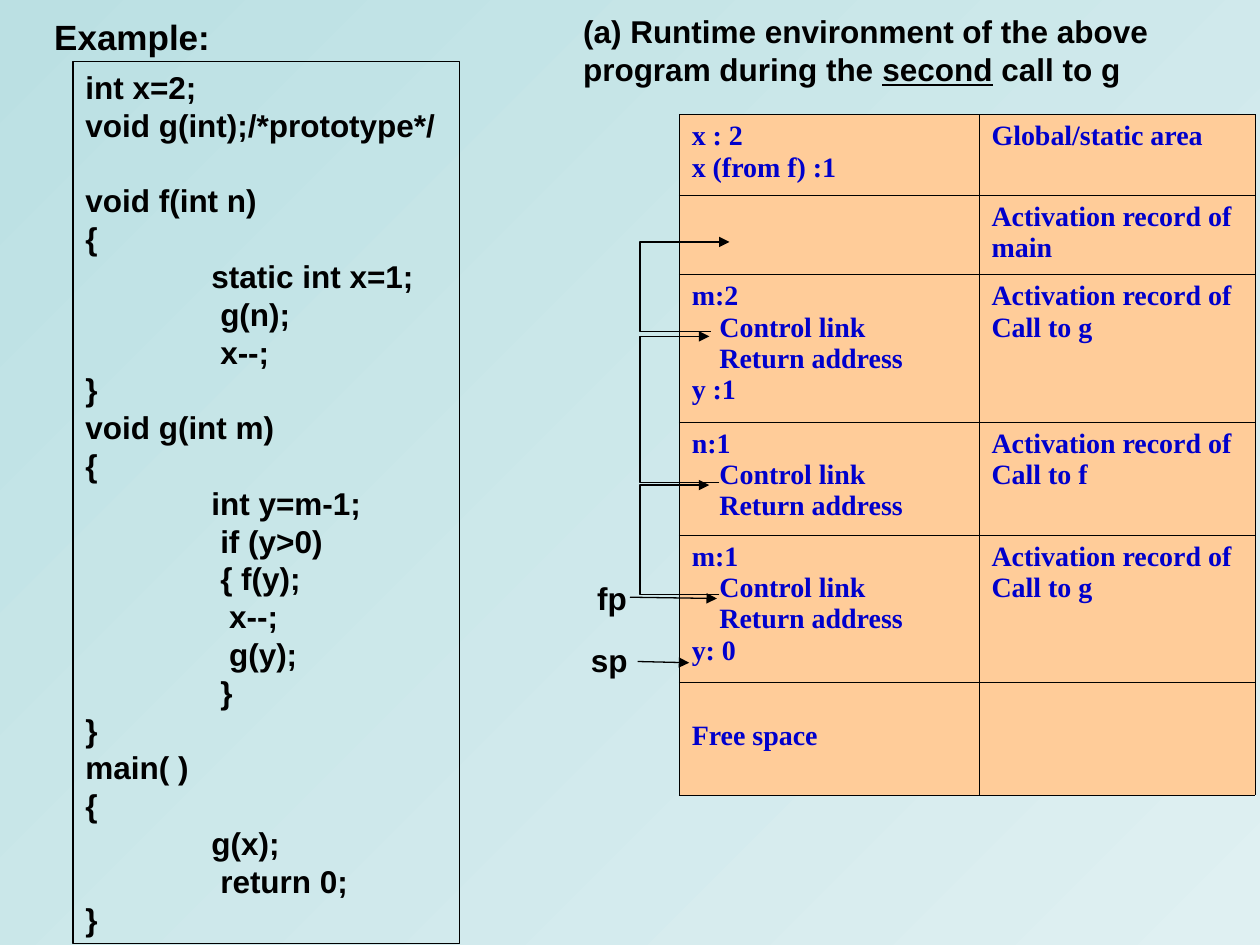
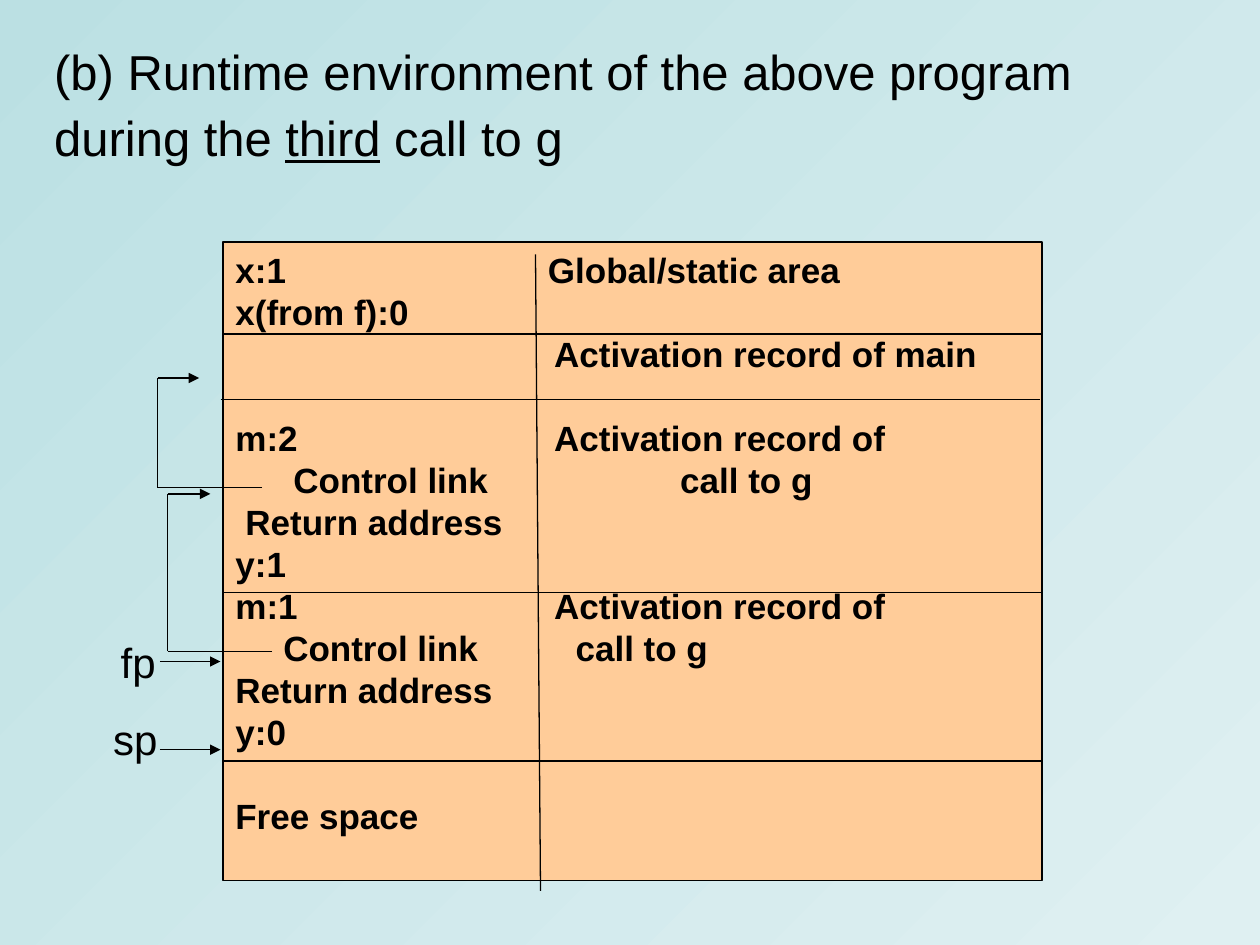
from typing import Any, NamedTuple

from lxml import etree
from pptx import Presentation
from pptx.dml.color import RGBColor
from pptx.enum.shapes import MSO_CONNECTOR, MSO_SHAPE
from pptx.enum.text import MSO_ANCHOR, MSO_AUTO_SIZE, PP_ALIGN
from pptx.oxml.ns import qn
from pptx.util import Inches, Pt

TOP, MIDDLE = MSO_ANCHOR.TOP, MSO_ANCHOR.MIDDLE
LEFT = PP_ALIGN.LEFT
FIXED = MSO_AUTO_SIZE.NONE
RECT = MSO_SHAPE.RECTANGLE
STRAIGHT = MSO_CONNECTOR.STRAIGHT
BLACK, BLUE, PEACH = "000000", "0000CC", "FFCC99"
SHADES = ("BBE0E3", "DFF0F2")
TITLE_ONLY = 5


class Look(NamedTuple):
    """Font and line pitch of a text."""
    size: float
    bold: bool = True
    color: str = BLACK
    name: str = "Arial"
    pitch: float = 0


class Line(NamedTuple):
    """One line of text, with its indent and the gap before it."""
    text: str
    dent: float = 0
    gap: float = 0


class Note(NamedTuple):
    """A text with its place and look."""
    at: tuple[float, float, float, float]
    look: Look
    lines: tuple[Line, ...]


class Row(NamedTuple):
    """One table row: height, left lines, right lines and top margin."""
    high: float
    left: tuple[Line, ...]
    right: tuple[Line, ...]
    top: float = 0.05


class Link(NamedTuple):
    """A bent arrow from a record back to its caller."""
    start: float
    low: float
    side: float
    high: float
    end: float

    def points(self) -> list[tuple[float, float]]:
        """List the corners from start to end."""
        return [(self.start, self.low), (self.side, self.low),
                (self.side, self.high), (self.end, self.high)]


CODE = Look(18, pitch=21.6)
CELL = Look(16, color=BLUE, name="Times New Roman")
STACK = Look(20, pitch=24)
HEAD = Look(18)
BIG = Look(28, bold=False, pitch=37.7)
MARK = Look(24, bold=False)

PROGRAM = (
    Line("int x=2;"), Line("void g(int);/*prototype*/"),
    Line("void f(int n)", gap=21.6), Line("{"),
    Line("static int x=1;", 1), Line("g(n);", 1.07), Line("x--;", 1.07),
    Line("}"), Line("void g(int m)"), Line("{"),
    Line("int y=m-1;", 1), Line("if (y>0)", 1.07), Line("{ f(y);", 1.07),
    Line("x--;", 1.14), Line("g(y);", 1.14), Line("}", 1.07),
    Line("}"), Line("main( )"), Line("{"),
    Line("g(x);", 1), Line("return 0;", 1.07), Line("}"),
)
SAVED = (Line("Control link", 0.22), Line("Return address", 0.22))
RECORD = Line("Activation record of")
CALL_G = (RECORD, Line("Call to g"))
ROWS = (
    Row(0.64, (Line("x : 2"), Line("x (from f) :1")),
        (Line("Global/static area"),)),
    Row(0.63, (), (RECORD, Line("main"))),
    Row(1.17, (Line("m:2"), *SAVED, Line("y :1")), CALL_G),
    Row(0.9, (Line("n:1"), *SAVED), (RECORD, Line("Call to f"))),
    Row(1.17, (Line("m:1"), *SAVED, Line("y: 0")), CALL_G),
    Row(0.89, (Line("Free space"),), (), 0.3),
)
MEMORY = (
    Line("x:1"), Line("x(from f):0"),
    Line("m:2", gap=48), Line("Control link", 0.46),
    Line("Return address", 0.08), Line("y:1"),
    Line("m:1"), Line("Control link", 0.38),
    Line("Return address"), Line("y:0"), Line("Free space", gap=24),
)
OWNERS = (
    Line("Global/static area"),
    Line("Activation record of main", 0.05, 24),
    Line("Activation record of", 0.05, 24), Line("call to g", 1.05),
    Line("Activation record of", 0.05, 48), Line("call to g", 0.22),
)
TITLE_A = Note((0.33, 0.07, 4.72, 0.44), Look(20), (Line("Example:"),))
TITLE_B = Note((0.33, 0.46, 9.17, 0.67), BIG, (
    Line("(b) Runtime environment of the above program during the "
         "_third_ call to g"),))
NOTES_A = (
    Note((4.53, 0.05, 5.43, 0.7), HEAD, (
        Line("(a) Runtime environment of the above program during the "
             "_second_ call to g"),)),
    Note((4.64, 4.55, 0.55, 0.4), HEAD, (Line("fp"),)),
    Note((4.59, 5.04, 0.55, 0.4), HEAD, (Line("sp"),)),
)
NOTES_B = (
    Note((4.25, 1.92, 4.02, 5.07), STACK, OWNERS),
    Note((0.86, 5, 0.6, 0.5), MARK, (Line("fp"),)),
    Note((0.8, 5.61, 0.6, 0.5), MARK, (Line("sp"),)),
)
LINKS_A = (Link(5.64, 2.63, 5.08, 1.92, 5.79),
           Link(5.71, 3.83, 5.08, 2.67, 5.63),
           Link(5.71, 4.72, 5.08, 3.85, 5.63))
LINKS_B = (Link(2.08, 3.87, 1.25, 3, 1.58),
           Link(2.16, 5.17, 1.33, 3.92, 1.67))


def rgb(code: str) -> RGBColor:
    """Turn a hex string into a colour."""
    return RGBColor.from_string(code)


def apply(item: Any, form: dict[str, Any]) -> None:
    """Set each value of a format on an object."""
    for key, value in form.items():
        setattr(item, key, value)


def write(frame: Any, lines: tuple[Line, ...], look: Look) -> None:
    """Fill a text frame; words between underscores are underlined."""
    for num, line in enumerate(lines):
        para = frame.paragraphs[0] if num == 0 else frame.add_paragraph()
        apply(para, {"alignment": LEFT, "space_before": Pt(line.gap)})
        if look.pitch:
            para.line_spacing = Pt(look.pitch)
        props = para._p.get_or_add_pPr()
        props.set("marL", "0")
        props.set("indent", str(Inches(line.dent)))
        for part, text in enumerate(line.text.split("_")):
            run = para.add_run()
            run.text = text
            apply(run.font, {"name": look.name, "size": Pt(look.size),
                             "bold": look.bold, "underline": part % 2 == 1})
            run.font.color.rgb = rgb(look.color)


def fill_in(shape: Any, note: Note, anchor: Any = TOP) -> None:
    """Place a shape and give it text with the shared margins."""
    apply(shape, dict(zip(("left", "top", "width", "height"),
                          map(Inches, note.at))))
    apply(shape.text_frame, {
        "word_wrap": True, "auto_size": FIXED, "vertical_anchor": anchor,
        "margin_left": Inches(0.1), "margin_right": Inches(0.1),
        "margin_top": Inches(0.05), "margin_bottom": Inches(0.05)})
    write(shape.text_frame, note.lines, note.look)


def label(slide: Any, note: Note) -> None:
    """Add a text box."""
    fill_in(slide.shapes.add_textbox(*map(Inches, note.at)), note)


def ink(shape: Any, arrow: bool = False) -> None:
    """Draw a thin black line, with an arrowhead if asked."""
    shape.line.color.rgb = rgb(BLACK)
    shape.line.width = Pt(0.75)
    if arrow:
        etree.SubElement(shape.line._get_or_add_ln(), qn("a:tailEnd"),
                         type="triangle")


def panel(slide: Any, note: Note, fill: str = "") -> None:
    """Add a framed rectangle of text."""
    box = slide.shapes.add_shape(RECT, *map(Inches, note.at))
    box.shadow.inherit = False
    if fill:
        box.fill.solid()
        box.fill.fore_color.rgb = rgb(fill)
    else:
        box.fill.background()
    ink(box)
    fill_in(box, note)


def rule(slide: Any, ends: tuple[float, ...], arrow: bool = False) -> None:
    """Add a straight line or arrow."""
    line = slide.shapes.add_connector(STRAIGHT, *map(Inches, ends))
    ink(line, arrow)
    etree.SubElement(line._element.spPr, qn("a:effectLst"))


def bend(slide: Any, link: Link) -> None:
    """Add a control link as one bent outline."""
    points = [(Inches(x), Inches(y)) for x, y in link.points()]
    pen = slide.shapes.build_freeform(*points[0])
    pen.add_line_segments(points[1:], close=False)
    shape = pen.convert_to_shape()
    shape.shadow.inherit = False
    shape.fill.background()
    ink(shape, True)


def chain(slide: Any, link: Link) -> None:
    """Add a control link as three straight lines."""
    points = link.points()
    for num, (start, end) in enumerate(zip(points, points[1:])):
        rule(slide, (*start, *end), num == 2)


def edge(cell: Any) -> None:
    """Draw the four borders of a cell."""
    props = cell._tc.get_or_add_tcPr()
    for side in "LRTB":
        line = etree.SubElement(props, qn(f"a:ln{side}"), w=str(Pt(0.45)))
        fill = etree.SubElement(line, qn("a:solidFill"))
        etree.SubElement(fill, qn("a:srgbClr"), val=BLACK)


def grid(slide: Any) -> None:
    """Add the table of activation records."""
    size = map(Inches, (5.39, 0.91, 4.57, 5.4))
    table = slide.shapes.add_table(len(ROWS), 2, *size).table
    apply(table, {"first_row": False, "horz_banding": False})
    for col, wide in zip(table.columns, (2.38, 2.19)):
        col.width = Inches(wide)
    for line, row in zip(table.rows, ROWS):
        line.height = Inches(row.high)
        for cell, lines in zip(line.cells, (row.left, row.right)):
            edge(cell)
            cell.fill.solid()
            cell.fill.fore_color.rgb = rgb(PEACH)
            cell.margin_top = Inches(row.top)
            write(cell.text_frame, lines, CELL)


def shade(deck: Any) -> None:
    """Give the master its gradient background."""
    fill = deck.slide_master.background.fill
    fill.gradient()
    fill.gradient_angle = 315
    for stop, code in zip(fill.gradient_stops, SHADES):
        stop.color.rgb = rgb(code)


def second(slide: Any) -> None:
    """Draw the program and its stack at the second call."""
    fill_in(slide.shapes.title, TITLE_A)
    panel(slide, Note((0.58, 0.49, 3.07, 7), CODE, PROGRAM))
    grid(slide)
    for link in LINKS_A:
        bend(slide, link)
    for ends in ((5, 4.74, 5.69, 4.75), (5.06, 5.25, 5.47, 5.26)):
        rule(slide, ends, True)
    for note in NOTES_A:
        label(slide, note)


def third(slide: Any) -> None:
    """Draw the stack at the third call."""
    fill_in(slide.shapes.title, TITLE_B, MIDDLE)
    panel(slide, Note((1.77, 1.92, 6.5, 5.07), STACK, MEMORY), PEACH)
    rule(slide, (4.25, 2.02, 4.29, 7.07))
    for left, high in ((1.77, 2.65), (1.75, 3.17), (1.77, 4.7), (1.77, 6.04)):
        rule(slide, (left, high, left + 6.5, high))
    for link in LINKS_B:
        chain(slide, link)
    for high in (5.25, 5.95):
        rule(slide, (1.27, high, 1.75, high), True)
    for note in NOTES_B:
        label(slide, note)


def main() -> None:
    """Build and save the deck."""
    deck = Presentation()
    apply(deck, {"slide_width": Inches(10), "slide_height": Inches(7.5)})
    shade(deck)
    for draw in (second, third):
        draw(deck.slides.add_slide(deck.slide_layouts[TITLE_ONLY]))
    deck.save("out.pptx")


if __name__ == "__main__":
    main()
